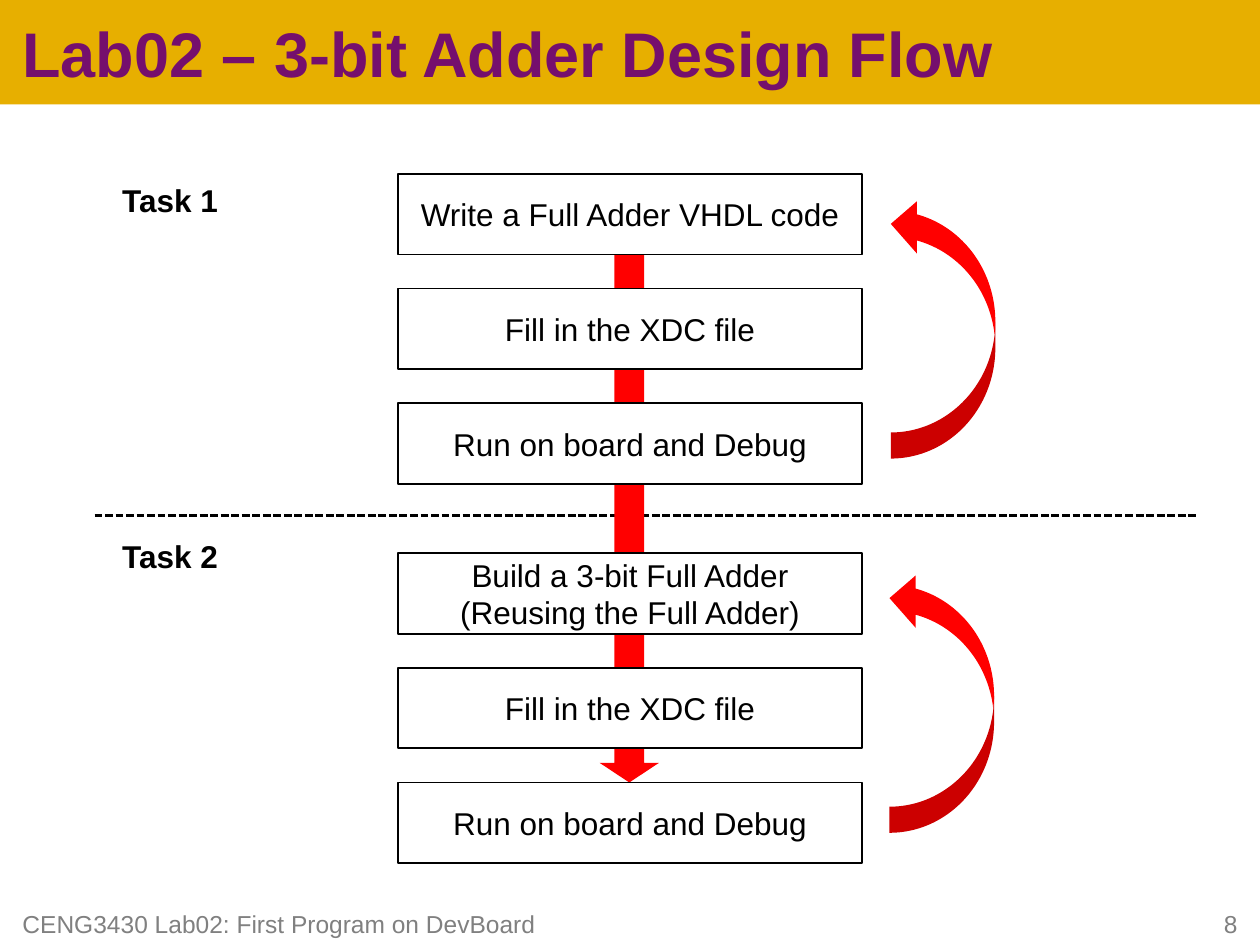
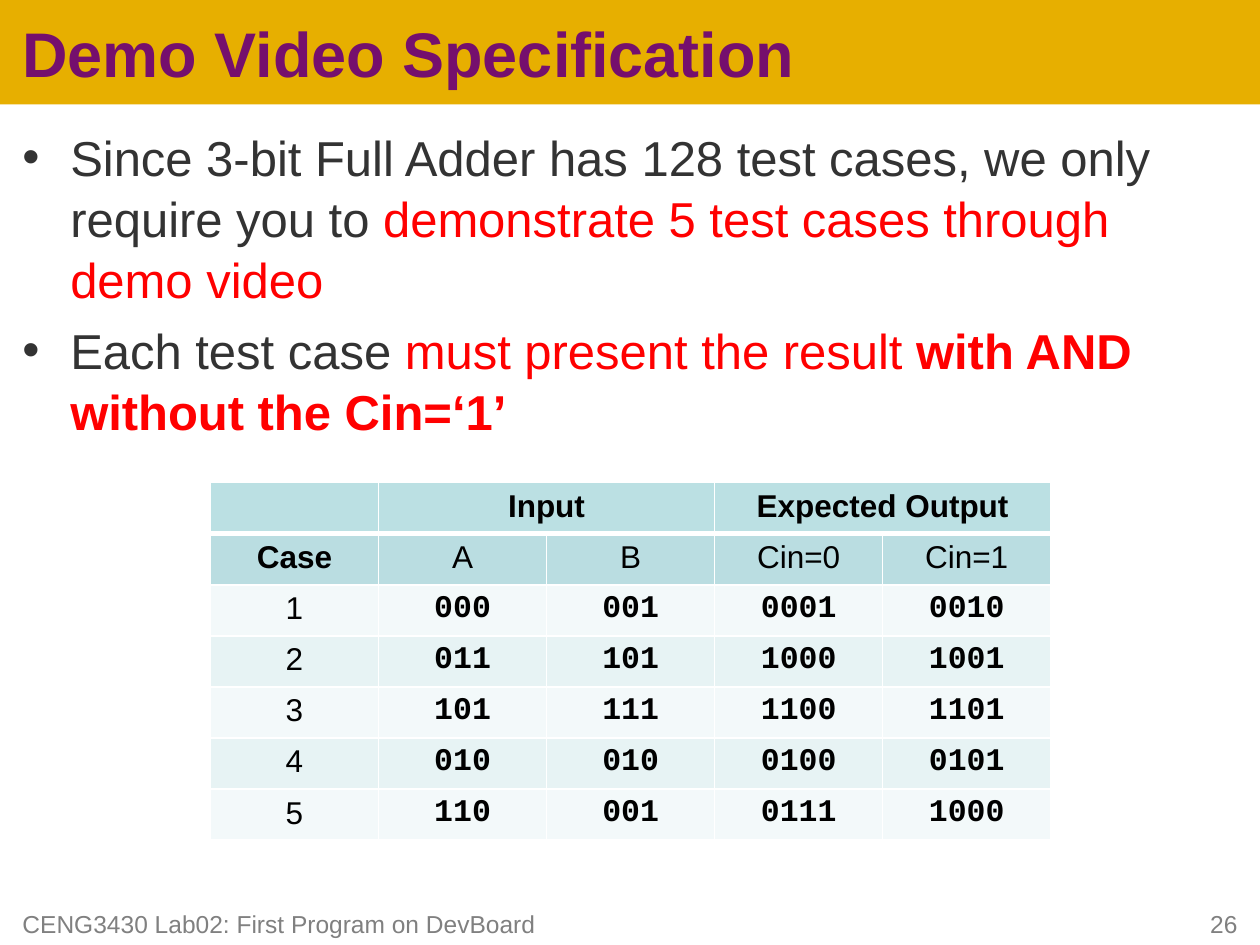
from lxml import etree
from pptx import Presentation
from pptx.dml.color import RGBColor
from pptx.enum.dml import MSO_LINE
from pptx.enum.shapes import MSO_CONNECTOR, MSO_SHAPE
from pptx.enum.text import MSO_ANCHOR as ANCHOR, PP_ALIGN as ALIGN
from pptx.oxml.ns import qn
from pptx.util import Inches, Pt

GOLD, PURPLE, RED, GREY = "E7AF00", "750F6D", "FF0000", "808080"
BLACK, WHITE, DARK = "000000", "FFFFFF", "333333"
FOOTER = "CENG3430 Lab02: First Program on DevBoard"


def rgb(color):
    return RGBColor.from_string(color)


def set_text(shape, text, size, color, bold=False, align=ALIGN.LEFT,
             anchor=ANCHOR.MIDDLE, font="Arial"):
    """Fill a shape, text box or table cell with evenly styled text."""
    tf = shape.text_frame
    tf.text = text
    tf.word_wrap = True
    tf.vertical_anchor = anchor
    for p in tf.paragraphs:
        p.alignment = align
        for r in p.runs:
            r.font.name, r.font.size, r.font.bold = font, Pt(size), bold
            r.font.color.rgb = rgb(color)


prs = Presentation()
prs.slide_width, prs.slide_height = Inches(10), Inches(7.5)

# Title band, title, footer and slide number
slides = []
for title, number in [("Lab02 – 3-bit Adder Design Flow", "8"),
                      ("Demo Video Specification", "26")]:
    s = prs.slides.add_slide(prs.slide_layouts[6])
    band = s.shapes.add_shape(MSO_SHAPE.RECTANGLE, 0, 0, Inches(10), Inches(0.83))
    band.shadow.inherit = False
    band.fill.solid()
    band.fill.fore_color.rgb = rgb(GOLD)
    band.line.fill.background()
    for x, y, w, h, text, size, color, bold, align in [
            (0.08, 0.04, 9.83, 0.75, title, 36, PURPLE, True, ALIGN.LEFT),
            (0.08, 7.17, 9.33, 0.33, FOOTER, 14, GREY, False, ALIGN.LEFT),
            (9.42, 7.17, 0.5, 0.33, number, 14, GREY, False, ALIGN.RIGHT)]:
        box = s.shapes.add_textbox(Inches(x), Inches(y), Inches(w), Inches(h))
        set_text(box, text, size, color, bold, align)
    slides.append(s)
flow, demo = slides

# Design flow: divider between the tasks
divider = flow.shapes.add_connector(MSO_CONNECTOR.STRAIGHT, Inches(0.75), Inches(4.09),
                                    Inches(9.49), Inches(4.09))
divider.line.color.rgb = rgb(BLACK)
divider.line.width = Pt(1.5)
divider.line.dash_style = MSO_LINE.SQUARE_DOT
etree.SubElement(divider._element.spPr, qn("a:effectLst"))

# Design flow: long arrow behind the steps, and the two loops back
for kind, x, y, w, h in [(MSO_SHAPE.DOWN_ARROW, 4.76, 2.02, 0.47, 4.19),
                         (MSO_SHAPE.CURVED_LEFT_ARROW, 7.07, 1.57, 0.83, 2.07),
                         (MSO_SHAPE.CURVED_LEFT_ARROW, 7.06, 4.54, 0.83, 2.07)]:
    arrow = flow.shapes.add_shape(kind, Inches(x), Inches(y), Inches(w), Inches(h))
    arrow.shadow.inherit = False
    arrow.fill.solid()
    arrow.fill.fore_color.rgb = rgb(RED)
    arrow.line.fill.background()
    if kind == MSO_SHAPE.DOWN_ARROW:
        arrow.adjustments[0], arrow.adjustments[1] = 0.5, 0.33
    else:
        arrow._element.spPr.find(qn("a:xfrm")).set("flipV", "1")

# Design flow: task labels and their steps
tasks = [("Task 1", 1.39, 1.38, "Write a Full Adder VHDL code"),
         ("Task 2", 4.21, 4.39, "Build a 3-bit Full Adder\n(Reusing the Full Adder)")]
for task, label_top, steps_top, first_step in tasks:
    label = flow.shapes.add_textbox(Inches(0.75), Inches(label_top), Inches(1.2), Inches(0.4))
    set_text(label, task, 18, BLACK, True, ALIGN.CENTER, ANCHOR.TOP)
    for i, step in enumerate([first_step, "Fill in the XDC file", "Run on board and Debug"]):
        sp = flow.shapes.add_shape(MSO_SHAPE.RECTANGLE, Inches(3.16),
                                   Inches(steps_top + 0.91 * i), Inches(3.68), Inches(0.64))
        sp.shadow.inherit = False
        sp.fill.solid()
        sp.fill.fore_color.rgb = rgb(WHITE)
        sp.line.color.rgb = rgb(BLACK)
        sp.line.width = Pt(1)
        set_text(sp, step, 18, BLACK, align=ALIGN.CENTER)

# Demo: bullets
bullets = [
    [("Since 3-bit Full Adder has 128 test cases, we only require you to ", DARK, False),
     ("demonstrate 5 test cases through demo video", RED, False)],
    [("Each test case ", DARK, False),
     ("must present the result ", RED, False),
     ("with AND without the Cin=‘1’", RED, True)]]
body = demo.shapes.add_textbox(Inches(0.08), Inches(0.92), Inches(9.83), Inches(6.25))
tf = body.text_frame
tf.word_wrap = True
tf.margin_top = Inches(0.07)
for i, parts in enumerate(bullets):
    p = tf.add_paragraph() if i else tf.paragraphs[0]
    p.line_spacing = 1.04
    if i:
        p.space_before = Pt(5.6)
    pPr = p._p.get_or_add_pPr()
    pPr.set("marL", str(Inches(0.38)))
    pPr.set("indent", str(-Inches(0.38)))
    etree.SubElement(pPr, qn("a:buFont"), typeface="Arial")
    etree.SubElement(pPr, qn("a:buChar"), char="•")
    for text, color, bold in parts:
        r = p.add_run()
        r.text = text
        r.font.name, r.font.size, r.font.bold = "Arial", Pt(28), bold
        r.font.color.rgb = rgb(color)

# Demo: table of test cases
rows = [["", "Input", "", "Expected Output", ""],
        ["Case", "A", "B", "Cin=0", "Cin=1"],
        ["1", "000", "001", "0001", "0010"],
        ["2", "011", "101", "1000", "1001"],
        ["3", "101", "111", "1100", "1101"],
        ["4", "010", "010", "0100", "0101"],
        ["5", "110", "001", "0111", "1000"]]
table = demo.shapes.add_table(len(rows), 5, Inches(1.67), Inches(3.83),
                              Inches(6.67), Inches(2.84)).table
for col in (1, 3):
    table.cell(0, col).merge(table.cell(0, col + 1))
for i, row in enumerate(rows):
    fill = ["BBE0E3", "BADDE1"][i] if i < 2 else ["F3F9FA", "E7F3F4"][i % 2]
    for j, text in enumerate(row):
        cell = table.cell(i, j)
        is_bits = i > 1 and j > 0
        set_text(cell, text, 18, BLACK, i == 0 or text == "Case" or is_bits, ALIGN.CENTER,
                 ANCHOR.TOP, "Courier New" if is_bits else "Arial")
        # White borders, thicker under the header row
        tcPr = cell._tc.get_or_add_tcPr()
        for side in ("lnL", "lnR", "lnT", "lnB"):
            thick = (i, side) in [(0, "lnB"), (1, "lnT")]
            ln = etree.SubElement(tcPr, qn("a:" + side), w=str(Pt(3 if thick else 1)))
            etree.SubElement(etree.SubElement(ln, qn("a:solidFill")), qn("a:srgbClr"), val=WHITE)
        cell.fill.solid()
        cell.fill.fore_color.rgb = rgb(fill)

prs.save("out.pptx")
